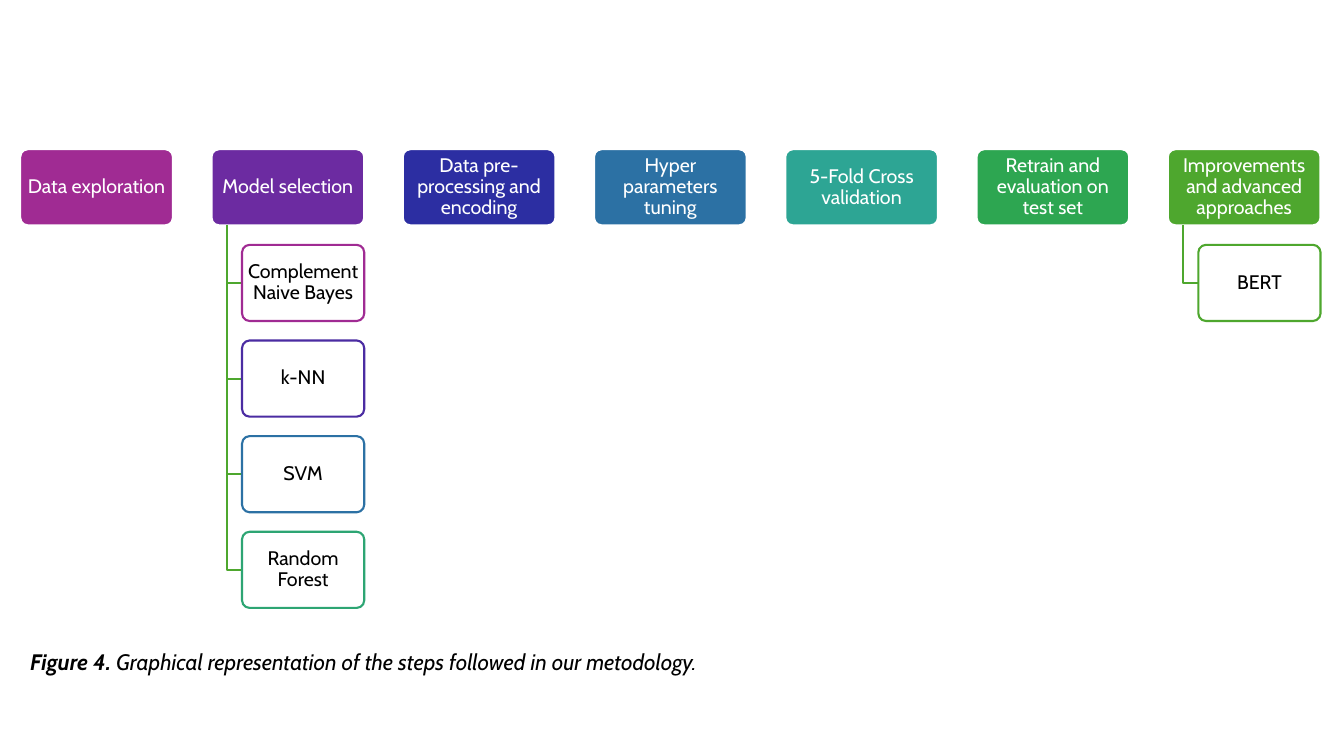
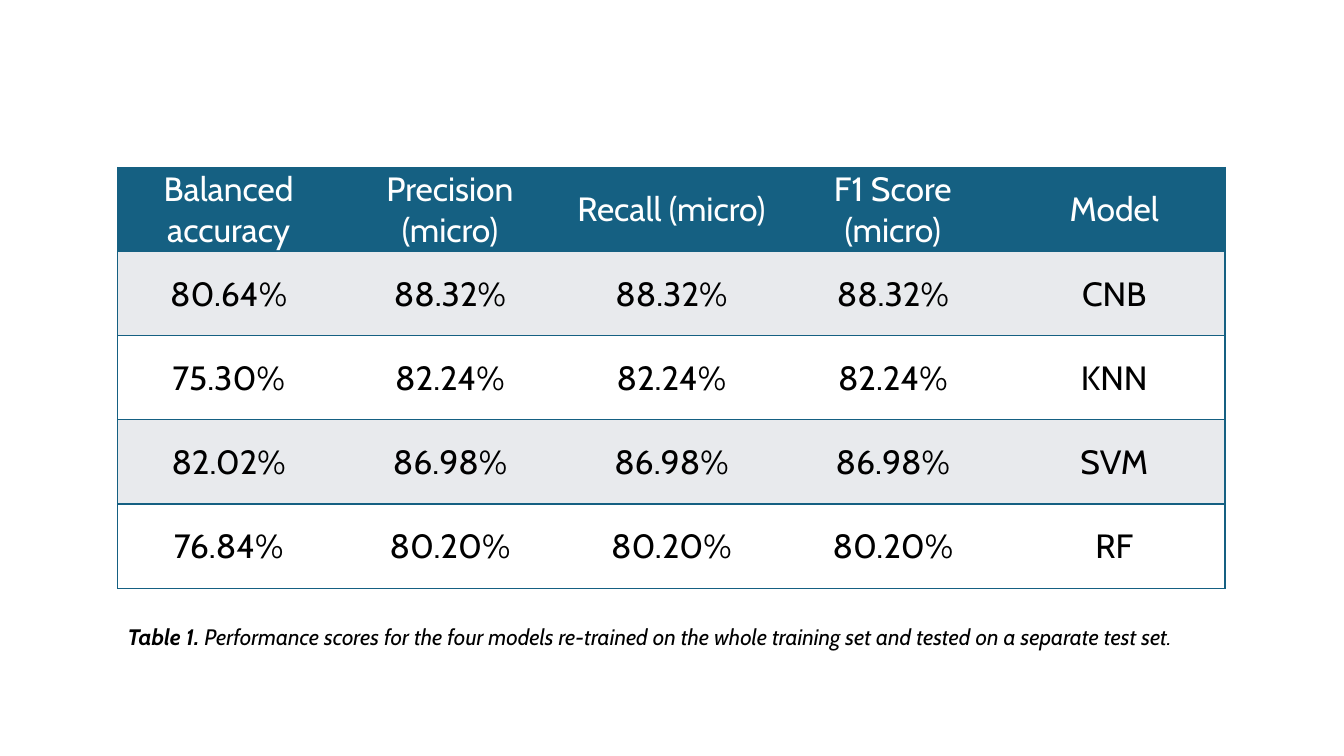
import pptx
import pptx.dml.color
import pptx.enum.shapes
import pptx.enum.text
import pptx.oxml
import pptx.oxml.ns
import pptx.util
from lxml import etree

Cm = pptx.util.Cm
Pt = pptx.util.Pt
RGB = pptx.dml.color.RGBColor
CENTER = pptx.enum.text.PP_ALIGN.CENTER
MIDDLE = pptx.enum.text.MSO_ANCHOR.MIDDLE
qn = pptx.oxml.ns.qn

FONT = "Cabin"
WHITE = RGB(0xFF, 0xFF, 0xFF)
BLACK = RGB(0x00, 0x00, 0x00)
MAGENTA = RGB(0xA0, 0x2B, 0x93)
PURPLE = RGB(0x6C, 0x2B, 0xA1)
VIOLET = RGB(0x4B, 0x2C, 0xA2)
INDIGO = RGB(0x2C, 0x2E, 0xA2)
BLUE = RGB(0x2C, 0x71, 0xA4)
TEAL = RGB(0x2D, 0xA5, 0x94)
SEA = RGB(0x2D, 0xA5, 0x73)
EMERALD = RGB(0x2D, 0xA6, 0x51)
GREEN = RGB(0x4E, 0xA7, 0x2E)
PETROL = RGB(0x15, 0x60, 0x82)
BAND = RGB(0xE8, 0xEA, 0xED)


def add_box(slide, text, left, top, width, height, fill, line, color):
    sp = slide.shapes.add_shape(pptx.enum.shapes.MSO_SHAPE.ROUNDED_RECTANGLE,
                                Cm(left), Cm(top), Cm(width), Cm(height))
    sp.adjustments[0] = 0.1
    sp.shadow.inherit = False
    sp.fill.solid()
    sp.fill.fore_color.rgb = fill
    sp.line.color.rgb = line
    sp.line.width = Pt(1.5)
    tf = sp.text_frame
    tf.word_wrap = True
    tf.vertical_anchor = MIDDLE
    tf.margin_left = tf.margin_right = Cm(0.07)
    tf.margin_top = tf.margin_bottom = Cm(0.05)
    p = tf.paragraphs[0]
    p.text = text
    p.alignment = CENTER
    p.line_spacing = 0.9
    p.font.name, p.font.size, p.font.color.rgb = FONT, Pt(14), color
    return sp


def add_caption(slide, label, text, left, top, width, height):
    tf = slide.shapes.add_textbox(Cm(left), Cm(top), Cm(width), Cm(height)).text_frame
    tf.word_wrap = True
    p = tf.paragraphs[0]
    p.font.name, p.font.size, p.font.color.rgb = FONT, Pt(16), BLACK
    p.font.italic = True
    r = p.add_run()
    r.text = label + " "
    r.font.bold = True
    p.add_run().text = text


prs = pptx.Presentation()
prs.slide_width, prs.slide_height = Cm(33.87), Cm(19.05)
blank = prs.slide_layouts[6]

# Slide 1: steps with their sub-steps
slide = prs.slides.add_slide(blank)
STEPS = [
    ("Data exploration", MAGENTA, []),
    ("Model selection", PURPLE, [("Complement Naive Bayes", MAGENTA), ("k-NN", VIOLET),
                                 ("SVM", BLUE), ("Random Forest", SEA)]),
    ("Data pre-processing and encoding", INDIGO, []),
    ("Hyper parameters tuning", BLUE, []),
    ("5-Fold Cross validation", TEAL, []),
    ("Retrain and evaluation on test set", EMERALD, []),
    ("Improvements and advanced approaches", GREEN, [("BERT", GREEN)]),
]
LEFT, TOP, WIDTH, HEIGHT = 0.51, 3.76, 3.85, 1.92
PITCH_X, PITCH_Y = 4.82, 2.41

for i, (step, color, children) in enumerate(STEPS):
    x = LEFT + i * PITCH_X
    add_box(slide, step, x, TOP, WIDTH, HEIGHT, color, WHITE, WHITE)
    stem_x, child_x = x + 0.1 * WIDTH, x + 0.2 * WIDTH
    for j, (child, outline) in enumerate(children, start=1):
        y = TOP + j * PITCH_Y
        mid_y = y + HEIGHT / 2
        # Elbow from the step down to the child
        fb = slide.shapes.build_freeform(Cm(stem_x), Cm(TOP + HEIGHT))
        fb.add_line_segments([(Cm(stem_x), Cm(mid_y)), (Cm(child_x), Cm(mid_y))], close=False)
        sp = fb.convert_to_shape()
        sp.shadow.inherit = False
        sp.fill.background()
        sp.line.color.rgb = GREEN
        sp.line.width = Pt(1.5)
        # Child box, slightly transparent
        sp = add_box(slide, child, child_x, y, 0.8 * WIDTH, HEIGHT, WHITE, outline, BLACK)
        rgb = sp.fill._xPr.find(qn("a:solidFill"))[0]
        etree.SubElement(rgb, qn("a:alpha"), val="90000")

add_caption(slide, "Figure 4.",
            "Graphical representation of the steps followed in our metodology.",
            0.51, 16.2, 32.77, 0.94)

# Slide 2: score table
slide = prs.slides.add_slide(blank)
ROWS = [
    ("Balanced accuracy", "Precision (micro)", "Recall (micro)", "F1 Score (micro)", "Model"),
    ("80.64%", "88.32%", "88.32%", "88.32%", "CNB"),
    ("75.30%", "82.24%", "82.24%", "82.24%", "KNN"),
    ("82.02%", "86.98%", "86.98%", "86.98%", "SVM"),
    ("76.84%", "80.20%", "80.20%", "80.20%", "RF"),
]
COL_W, ROW_H = 5.58, 2.12
last = len(ROWS[0]) - 1
table = slide.shapes.add_table(len(ROWS), last + 1, Cm(2.97), Cm(4.22),
                               Cm(COL_W * (last + 1)), Cm(ROW_H * len(ROWS))).table
table.horz_banding = False
# "No Style, No Grid"
table._tbl.tblPr.find(qn("a:tableStyleId")).text = "{2D5ABB26-0587-4C30-8999-92F81FD0307C}"
for col in table.columns:
    col.width = Cm(COL_W)

for i, row in enumerate(ROWS):
    table.rows[i].height = Cm(ROW_H)
    for j, text in enumerate(row):
        cell = table.cell(i, j)
        cell.vertical_anchor = MIDDLE
        cell.margin_left = cell.margin_right = cell.margin_top = Cm(0.02)
        cell.margin_bottom = 0
        cell.fill.solid()
        cell.fill.fore_color.rgb = PETROL if i == 0 else BAND if i % 2 else WHITE
        p = cell.text_frame.paragraphs[0]
        p.text = text
        p.alignment = CENTER
        p.font.name, p.font.size = FONT, Pt(24)
        p.font.color.rgb = BLACK if i else WHITE
        # Rules above and below each row, outer edges at the sides
        sides = ["L"] * (j == 0) + ["R"] * (j == last) + ["T", "B"]
        tcPr = cell._tc.get_or_add_tcPr()
        for k, side in enumerate(sides):
            ln = etree.Element(qn("a:ln" + side), w=str(Pt(1)))
            solid = etree.SubElement(ln, qn("a:solidFill"))
            etree.SubElement(solid, qn("a:srgbClr"), val=str(PETROL))
            tcPr.insert(k, ln)

add_caption(slide, "Table 1.",
            "Performance scores for the four models re-trained on the whole training set "
            "and tested on a separate test set.",
            2.97, 15.57, 27.91, 1.63)

prs.save("out.pptx")
